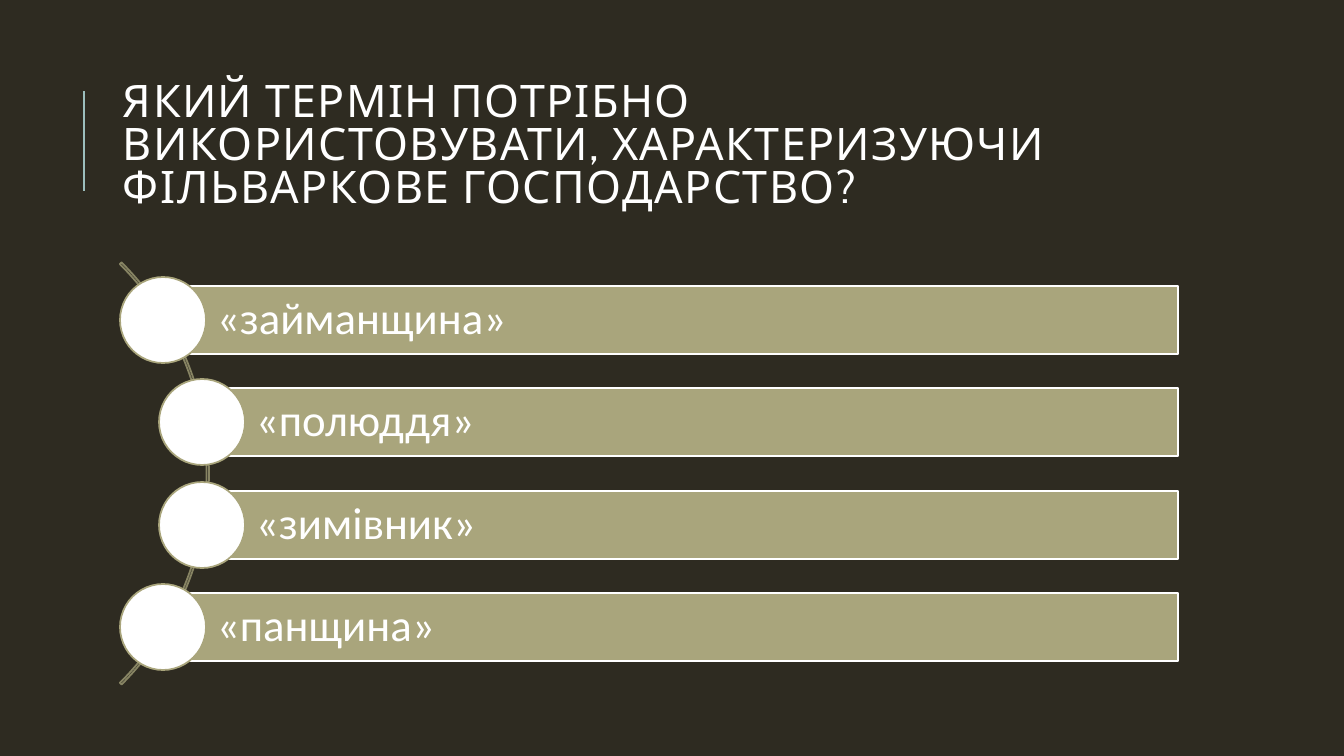
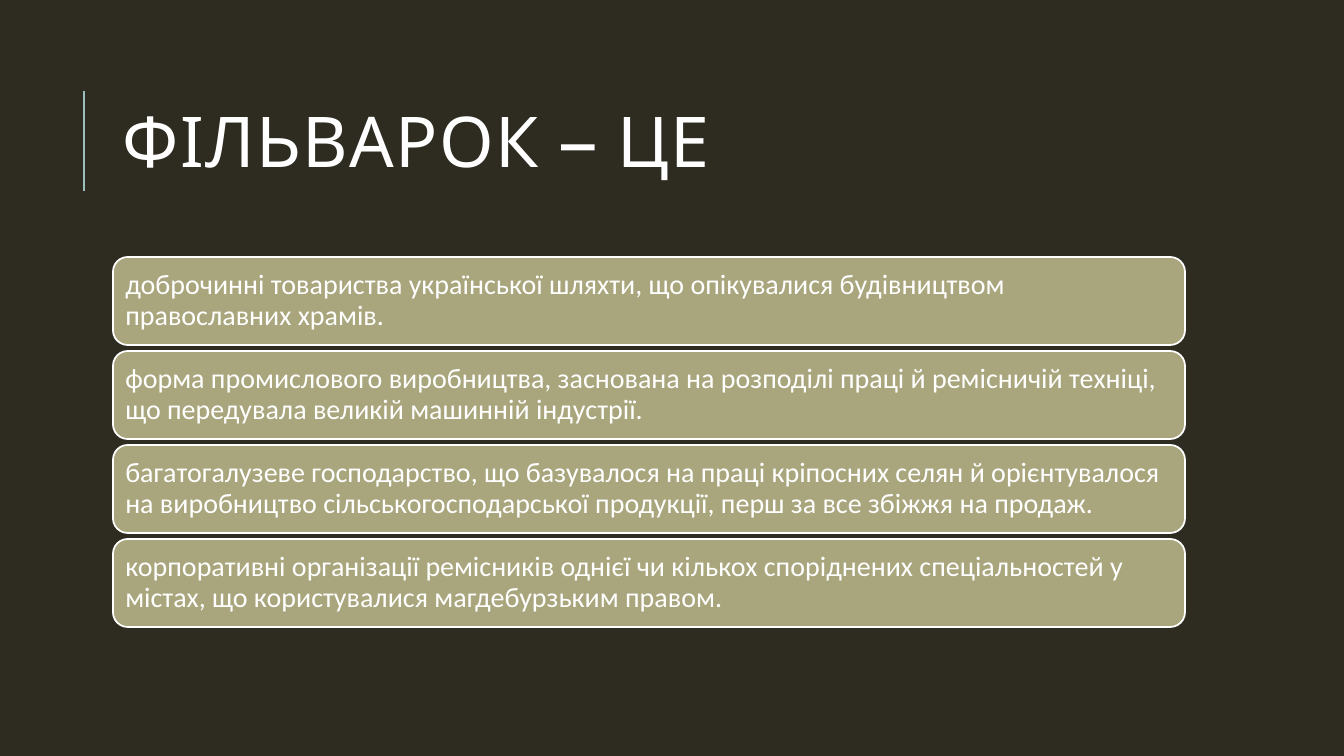
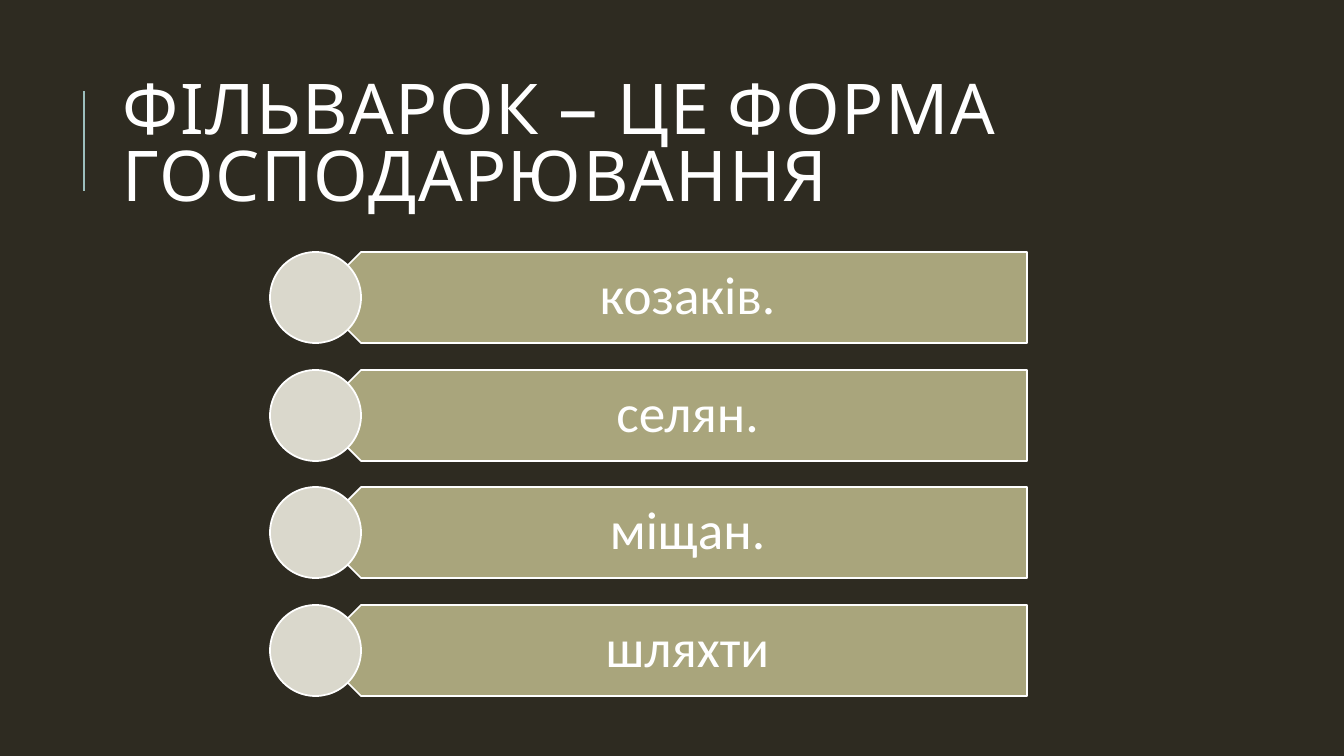
from collections import namedtuple

from lxml import etree
from pptx import Presentation
from pptx import util as u
from pptx.dml.color import RGBColor
from pptx.enum import shapes, text
from pptx.oxml import ns

PX = 914400 / 100.8  # EMU in one px of a 1344 by 756 page
COLORS = {
    "page": "2E2B21",
    "accent": "9CBEBD",
    "bar": "A9A57C",
    "arc": "878463",
    "disc": "DAD8CC",
    "white": "FFFFFF",
}
KIND = shapes.MSO_SHAPE
ALIGN = text.PP_ALIGN
OUTLINE = 1.25

Box = namedtuple("Box", "left top width height")
TITLE_BOX = Box(113, 65, 1072, 165)


def px(length):
    return u.Emu(round(length * PX))


def color(name):
    return RGBColor.from_string(COLORS[name])


def write(shape, words, size, margins, font="Calibri", align=ALIGN.LEFT, leading=0.9, tracking=0):
    """Fill a shape with one paragraph; margins run left, top, right, bottom in px."""
    frame = shape.text_frame
    sides = ("margin_left", "margin_top", "margin_right", "margin_bottom")
    frame_format = dict(zip(sides, map(px, margins)))
    frame_format |= {"word_wrap": True, "vertical_anchor": text.MSO_ANCHOR.MIDDLE}
    para = frame.paragraphs[0]
    span = para.add_run()
    span.text = words
    for target, values in (
        (frame, frame_format),
        (para, {"alignment": align, "line_spacing": leading}),
        (span.font, {"name": font, "size": u.Pt(size)}),
    ):
        for name, value in values.items():
            setattr(target, name, value)
    span.font.color.rgb = color("white")
    if tracking:
        span.font._element.set("spc", str(tracking * 100))


def add_figure(page, kind, box, fill, line):
    figure = page.shapes.add_shape(kind, *map(px, box))
    figure.shadow.inherit = False
    if fill:
        figure.fill.solid()
        figure.fill.fore_color.rgb = color(fill)
    else:
        figure.fill.background()
    figure.line.color.rgb = color(line)
    figure.line.width = u.Pt(OUTLINE)
    return figure


def add_disc(page, center_x, center_y, size, fill, line):
    box = Box(center_x - size / 2, center_y - size / 2, size, size)
    add_figure(page, KIND.OVAL, box, fill, line)


def spread(box, count, height):
    """Tops of equal rows that fill the box from edge to edge."""
    pitch = (box.height - height) / (count - 1)
    return [box.top + round(row * pitch) for row in range(count)]


def add_titled_page(deck, title, size):
    page = deck.slides.add_slide(deck.slide_layouts[6])
    box = TITLE_BOX
    rule_x = box.left - 29
    rule = page.shapes.add_connector(
        shapes.MSO_CONNECTOR.STRAIGHT,
        *map(px, (rule_x, box.top + 126, rule_x, box.top + 26)),
    )
    rule.line.color.rgb = color("accent")
    rule.line.width = u.Pt(1.5)
    etree.SubElement(rule._element.spPr, ns.qn("a:effectLst"))
    heading = page.shapes.add_textbox(*map(px, box))
    write(heading, title, size, (10, 5, 10, 5), font="Cabin", leading=0.8, tracking=1)
    return page


def add_arc_list(page, box, answers):
    """Bars with discs strung along an arc; the inner rows step to the right."""
    disc, bar, step, ring = 86, 68, 39, 597
    middle = box.top + box.height / 2
    arc_box = Box(box.left + 89 - ring, middle - ring / 2, ring, ring)
    arc = add_figure(page, KIND.BLOCK_ARC, arc_box, None, "arc")
    for index, value in enumerate((189, 27, 0.004)):
        arc.adjustments[index] = value
    last = len(answers) - 1
    for row, (answer, top) in enumerate(zip(answers, spread(box, len(answers), disc))):
        indent = 0 if row in (0, last) else step
        left = box.left + disc / 2 + indent
        center = top + disc / 2
        bar_box = Box(left, center - bar / 2, box.left + box.width - left, bar)
        strip = add_figure(page, KIND.RECTANGLE, bar_box, "bar", "white")
        write(strip, answer, 32, (54, 9, 9, 9))
        add_disc(page, left, center, disc, "white", "bar")


def add_card_list(page, box, answers):
    height = 88
    for answer, top in zip(answers, spread(box, len(answers), height)):
        card_box = Box(box.left, top, box.width, height)
        card = add_figure(page, KIND.ROUNDED_RECTANGLE, card_box, "bar", "white")
        write(card, answer, 20, (8, 8, 8, 8))


def add_arrow_list(page, box, answers):
    """Left-pointing bars, each with a disc over its tip."""
    height = 91
    tip = box.left + height / 2
    right = box.left + box.width
    for answer, top in zip(answers, spread(box, len(answers), height)):
        arrow_box = Box(tip, top, right - tip, height)
        arrow = add_figure(page, KIND.PENTAGON, arrow_box, "bar", "white")
        arrow.rotation = 180
        label_left = tip + height / 4
        label = page.shapes.add_textbox(*map(px, (label_left, top, right - label_left, height)))
        write(label, answer, 38, (40, 16, 30, 16), align=ALIGN.CENTER)
        add_disc(page, tip, top + height / 2, height, "disc", "white")


PAGES = [
    (
        "ЯКИЙ ТЕРМІН ПОТРІБНО ВИКОРИСТОВУВАТИ, ХАРАКТЕРИЗУЮЧИ ФІЛЬВАРКОВЕ ГОСПОДАРСТВО?",
        32,
        add_arc_list,
        Box(120, 277, 1058, 393),
        ["«займанщина»", "«полюддя»", "«зимівник»", "«панщина»"],
    ),
    (
        "ФІЛЬВАРОК — ЦЕ",
        50,
        add_card_list,
        Box(113, 257, 1072, 370),
        [
            "доброчинні товариства української шляхти, що опікувалися будівництвом "
            "православних храмів.",
            "форма промислового виробництва, заснована на розподілі праці й ремісничій "
            "техніці, що передувала великій машинній індустрії.",
            "багатогалузеве господарство, що базувалося на праці кріпосних селян й "
            "орієнтувалося на виробництво сільськогосподарської продукції, перш за все "
            "збіжжя на продаж.",
            "корпоративні організації ремісників однієї чи кількох споріднених "
            "спеціальностей у містах, що користувалися магдебурзьким правом.",
        ],
    ),
    (
        "ФІЛЬВАРОК — ЦЕ ФОРМА ГОСПОДАРЮВАННЯ",
        50,
        add_arrow_list,
        Box(270, 252, 757, 444),
        ["козаків.", "селян.", "міщан.", "шляхти"],
    ),
]


def main():
    deck = Presentation()
    deck.slide_width, deck.slide_height = px(1344), px(756)
    backdrop = deck.slide_master.background.fill
    backdrop.solid()
    backdrop.fore_color.rgb = color("page")
    for title, size, add_list, box, answers in PAGES:
        page = add_titled_page(deck, title, size)
        add_list(page, box, answers)
    deck.save("out.pptx")


if __name__ == "__main__":
    main()
